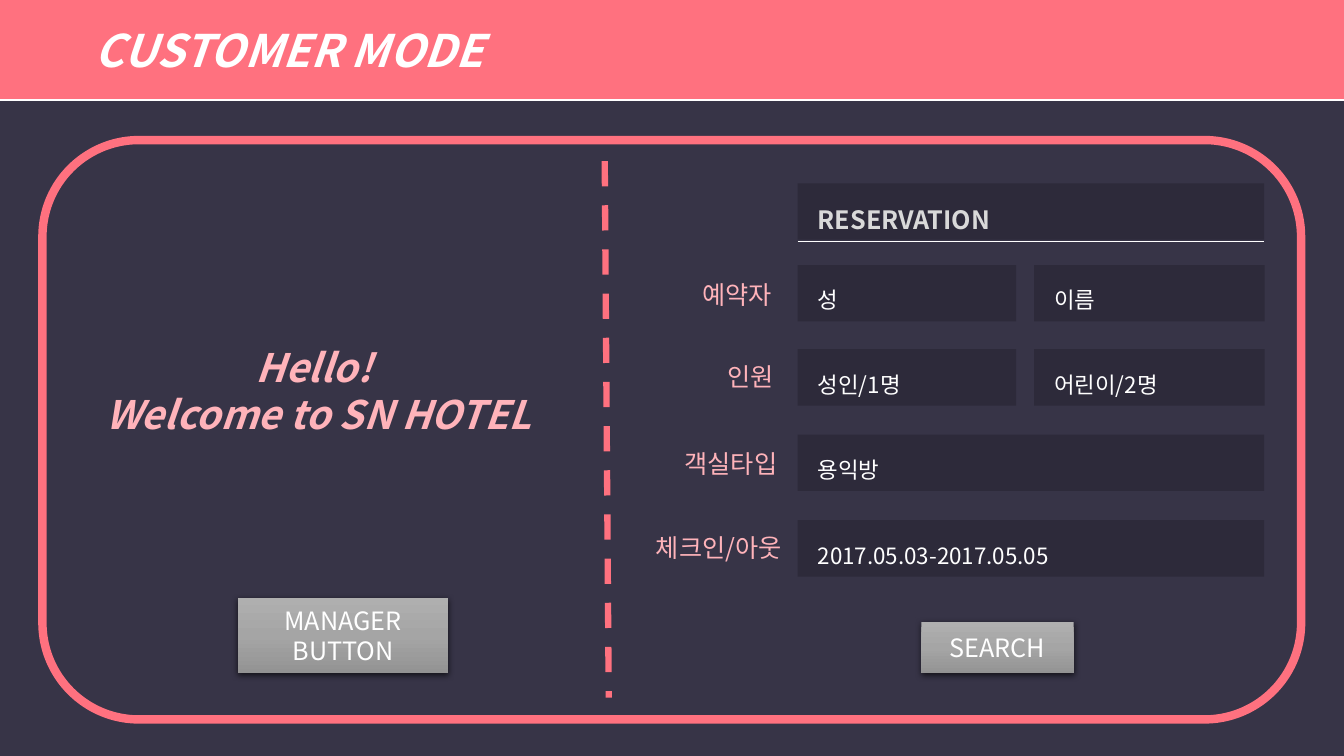
import copy

import pptx
import pptx.dml.color
import pptx.enum.dml
import pptx.enum.shapes
import pptx.enum.text
import pptx.oxml
import pptx.oxml.ns
import pptx.util

Cm = pptx.util.Cm
Pt = pptx.util.Pt
qn = pptx.oxml.ns.qn
SHAPE = pptx.enum.shapes.MSO_SHAPE
ALIGN = pptx.enum.text.PP_ALIGN
NS = 'xmlns:a="http://schemas.openxmlformats.org/drawingml/2006/main"'
SHADOW = (
    f'<a:outerShdw {NS} blurRad="57150" dist="19050" dir="5400000" '
    'algn="ctr" rotWithShape="0"><a:srgbClr val="000000">'
    '<a:alpha val="63000"/></a:srgbClr></a:outerShdw>'
)


class HotelSlide:
    font = "Noto Sans CJK KR"
    colors = {
        "background": "373447",
        "field": "2D2A3A",
        "coral": "FF717F",
        "pink": "FFB3BA",
        "white": "FFFFFF",
        "silver": "D9D9D9",
        "button_top": "AFAFAF",
        "button_mid": "A5A5A5",
        "button_end": "939393",
    }

    def __init__(self, prs):
        self.s = prs.slides.add_slide(prs.slide_layouts[6])
        fill = self.s.background.fill
        fill.solid()
        fill.fore_color.rgb = self.rgb("background")

    def rgb(self, color):
        return pptx.dml.color.RGBColor.from_string(self.colors[color])

    def add_lines(self, tf, lines, size, color, bold=False, italic=False,
                  align=ALIGN.LEFT, spacing=None):
        tf.word_wrap = True
        for i, line in enumerate(lines):
            p = tf.add_paragraph() if i else tf.paragraphs[0]
            p.alignment = align
            p.line_spacing = spacing
            r = p.add_run()
            r.text = line
            r.font.size = Pt(size)
            r.font.bold = bold
            r.font.italic = italic
            r.font.color.rgb = self.rgb(color)
            r.font.name = self.font
            latin = r._r.rPr.find(qn("a:latin"))
            latin.addnext(pptx.oxml.parse_xml(
                f'<a:ea {NS} typeface="{self.font}"/>'))

    def shape(self, kind, x, y, w, h):
        sp = self.s.shapes.add_shape(kind, Cm(x), Cm(y), Cm(w), Cm(h))
        sp.shadow.inherit = False
        sp.line.fill.background()
        sp.text_frame.vertical_anchor = pptx.enum.text.MSO_ANCHOR.MIDDLE
        return sp

    def frame(self, x, y, w, h):
        sp = self.shape(SHAPE.ROUNDED_RECTANGLE, x, y, w, h)
        sp.fill.background()
        sp.line.color.rgb = self.rgb("coral")
        sp.line.width = Pt(6)

    def bar(self, x, y, w, h, fill, inset=0.51):
        sp = self.shape(SHAPE.ROUND_2_SAME_RECTANGLE, x, y, w, h)
        sp.adjustments[0] = 0
        sp.adjustments[1] = 0
        sp.fill.solid()
        sp.fill.fore_color.rgb = self.rgb(fill)
        tf = sp.text_frame
        tf.margin_left = Cm(inset)
        tf.margin_right = Cm(0.51)
        return tf

    def field(self, x, y, w, text, size=16, color="white", bold=False):
        tf = self.bar(x, y, w, 1.42, "field")
        self.add_lines(tf, [text], size, color, bold, spacing=1.5)

    def text(self, x, y, w, h, lines, size, **style):
        sp = self.s.shapes.add_textbox(Cm(x), Cm(y), Cm(w), Cm(h))
        self.add_lines(sp.text_frame, lines, size, "pink", **style)
        sp.text_frame.auto_size = pptx.enum.text.MSO_AUTO_SIZE.SHAPE_TO_FIT_TEXT

    def line(self, x1, y1, x2, y2, color, width, dashed=False):
        cx = self.s.shapes.add_connector(
            pptx.enum.shapes.MSO_CONNECTOR.STRAIGHT,
            Cm(x1), Cm(y1), Cm(x2), Cm(y2))
        cx.line.color.rgb = self.rgb(color)
        cx.line.width = Pt(width)
        if dashed:
            cx.line.dash_style = pptx.enum.dml.MSO_LINE.DASH
        cx._element.spPr.append(pptx.oxml.parse_xml(f"<a:effectLst {NS}/>"))

    def button(self, x, y, w, h, lines):
        sp = self.shape(SHAPE.ACTION_BUTTON_CUSTOM, x, y, w, h)
        sp.fill.gradient()
        sp.fill.gradient_angle = 270
        first, last = sp.fill.gradient_stops
        first.position, last.position = 0, 1
        first.color.rgb = self.rgb("button_mid")
        last.color.rgb = self.rgb("button_end")
        spPr = sp._element.spPr
        top = spPr.find(".//" + qn("a:gs"))
        middle = copy.deepcopy(top)
        middle.set("pos", "50000")
        top.addnext(middle)
        first.color.rgb = self.rgb("button_top")
        spPr.find(qn("a:effectLst")).append(pptx.oxml.parse_xml(SHADOW))
        self.add_lines(sp.text_frame, lines, 18, "white", align=ALIGN.CENTER)


def main():
    prs = pptx.Presentation()
    prs.slide_width = Cm(33.87)
    prs.slide_height = Cm(19.05)
    hotel = HotelSlide(prs)

    hotel.frame(1.07, 3.53, 31.72, 14.6)
    hotel.bar(0, 0, 33.87, 2.54, "white")
    header = hotel.bar(0, 0, 33.87, 2.49, "coral", inset=2.39)
    hotel.add_lines(header, ["CUSTOMER MODE"], 32, "white", bold=True, italic=True)

    hotel.text(0.74, 8.53, 14.55, 2.64, ["Hello! ", "Welcome to SN HOTEL"],
               28, bold=True, italic=True, align=ALIGN.CENTER)
    hotel.line(15.24, 4.06, 15.34, 17.58, "coral", 4.5, dashed=True)

    left, right, full, half, rest = 20.1, 26.06, 11.76, 5.51, 5.81
    hotel.field(left, 4.62, full, "RESERVATION", 18, "silver", bold=True)
    hotel.line(left, 6.07, left + full, 6.07, "white", 0.5)

    rows = [
        (6.68, ["성", "이름"], "예약자", 17.45, 6.91, 2.64),
        (8.8, ["성인/1명", "어린이/2명"], "인원", 18.08, 8.97, 2.31),
        (10.95, ["용익방"], "객실타입", 17, 11.18, 3.07),
        (13.11, ["2017.05.03-2017.05.05"], "체크인/아웃", 16.28, 13.28, 4.14),
    ]
    for y, values, label, label_x, label_y, label_w in rows:
        cells = [(left, full)] if len(values) == 1 else [(left, half), (right, rest)]
        for (x, w), value in zip(cells, values):
            hotel.field(x, y, w, value)
        hotel.text(label_x, label_y, label_w, 1.02, [label], 18)

    hotel.button(23.22, 15.67, 3.84, 1.3, ["SEARCH"])
    hotel.button(5.99, 15.06, 5.31, 1.91, ["MANAGER", "BUTTON"])
    prs.save("out.pptx")


if __name__ == "__main__":
    main()
